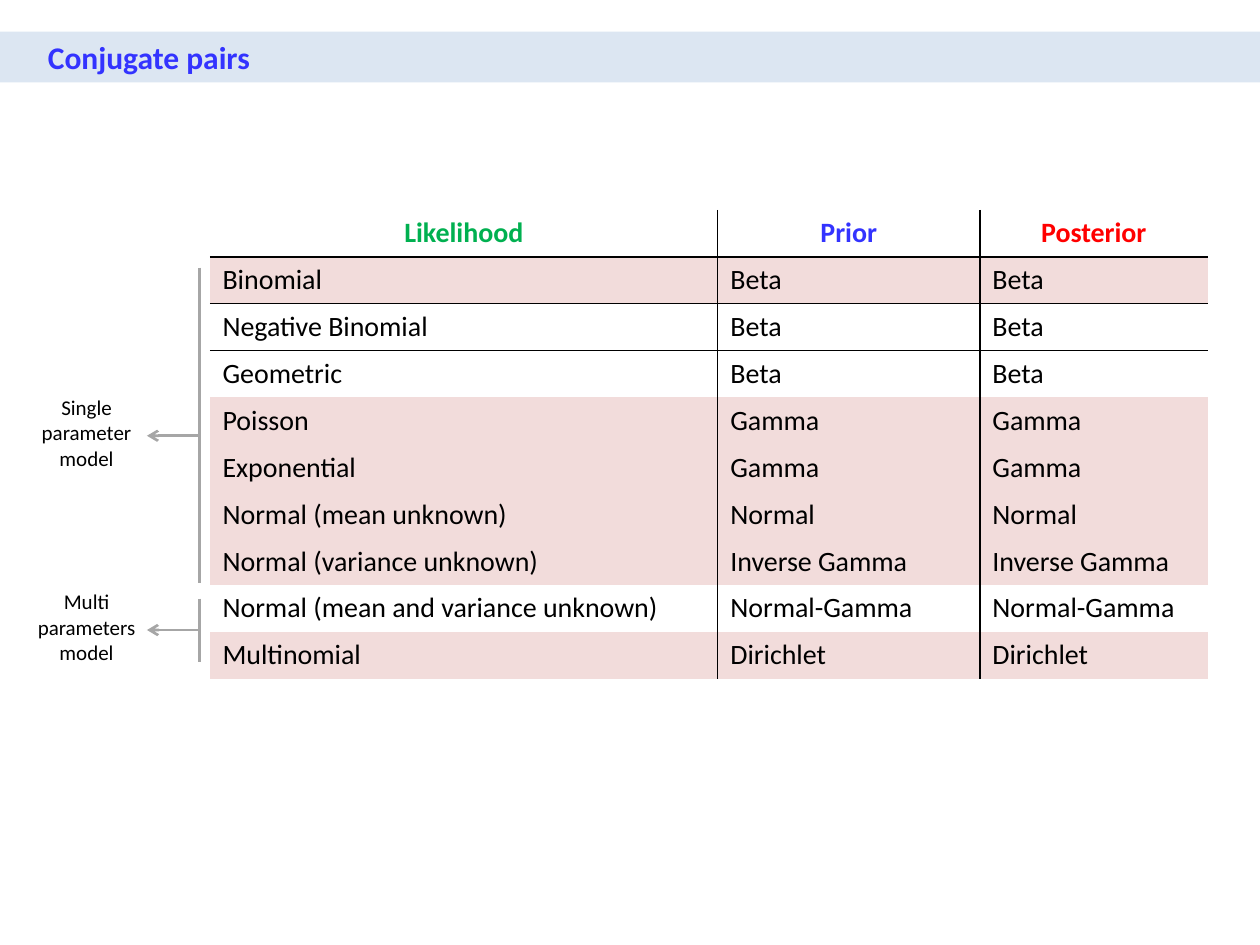
from pptx import Presentation
from pptx.dml.color import RGBColor
from pptx.enum.shapes import MSO_CONNECTOR
from pptx.enum.text import MSO_ANCHOR, PP_ALIGN
from pptx.oxml.ns import qn
from pptx.util import Inches, Pt
from lxml.etree import SubElement

INK, PINK, GREY = "000000", "F2DCDB", "A6A6A6"
PLAIN = "{2D5ABB26-0587-4C30-8999-92F81FD0307C}"
HEADS = [("Likelihood", "00B050"), ("Prior", "3333FF"), ("Posterior", "FF0000")]
PAIRS = [
    ("Binomial", "Beta", PINK),
    ("Negative Binomial", "Beta", None),
    ("Geometric", "Beta", None),
    ("Poisson", "Gamma", PINK),
    ("Exponential", "Gamma", PINK),
    ("Normal (mean unknown)", "Normal", PINK),
    ("Normal (variance unknown)", "Inverse Gamma", PINK),
    ("Normal (mean and variance unknown)", "Normal-Gamma", None),
    ("Multinomial", "Dirichlet", PINK),
]
WIDTHS = [4.03, 2.08, 1.81]
ROW = 0.372


def grid(*spots):
    """Turn counts of grid steps, 24 to the inch, into lengths."""
    return [Inches(spot / 24) for spot in spots]


def tint(code):
    """Turn a hex string into a colour."""
    return RGBColor.from_string(code)


def write(frame, text, size=16, color=INK, bold=False, align=PP_ALIGN.LEFT):
    """Fill a text frame, one paragraph for each line."""
    frame.text = text
    for para in frame.paragraphs:
        para.alignment = align
        font = para.runs[0].font
        font.name, font.size, font.bold = "Calibri", Pt(size), bold
        font.color.rgb = tint(color)


def head(slide, box, text):
    """Place the title on its tinted band."""
    title = slide.shapes.title
    title.left, title.top, title.width, title.height = grid(*box)
    title.fill.solid()
    title.fill.fore_color.rgb = tint("DCE6F2")
    frame = title.text_frame
    write(frame, text, size=18, color="3333FF", bold=True)
    frame.margin_left = Inches(0.38)
    frame.vertical_anchor = MSO_ANCHOR.MIDDLE


def edge(cell, sides):
    """Draw black rules on the named sides of a cell."""
    props = cell._tc.get_or_add_tcPr()
    for side in sides:
        line = SubElement(props, qn("a:ln" + side), w=str(Pt(1)))
        fill = SubElement(line, qn("a:solidFill"))
        SubElement(fill, qn("a:srgbClr"), val=INK)


def rules(row, col):
    """Name the ruled sides of the cell at a row and column."""
    tests = {"L": col > 0, "R": col < 2, "T": row in (1, 2), "B": row in (0, 1)}
    return [side for side, drawn in tests.items() if drawn]


def pairs(slide, box):
    """Place the table of likelihoods, priors and posteriors."""
    table = slide.shapes.add_table(len(PAIRS) + 1, 3, *grid(*box)).table
    table.first_row = table.horz_banding = False
    table._tbl.tblPr.find(qn("a:tableStyleId")).text = PLAIN
    for col, width in zip(table.columns, WIDTHS):
        col.width = Inches(width)
    for row in table.rows:
        row.height = Inches(ROW)
    for col, (text, color) in enumerate(HEADS):
        write(table.cell(0, col).text_frame, text, color=color, bold=True,
              align=PP_ALIGN.CENTER)
    for row, (model, prior, _) in enumerate(PAIRS, 1):
        for col, text in enumerate((model, prior, prior)):
            write(table.cell(row, col).text_frame, text)
    fills = [None] + [pair[2] for pair in PAIRS]
    for row, color in enumerate(fills):
        for col in range(3):
            cell = table.cell(row, col)
            edge(cell, rules(row, col))
            if color:
                cell.fill.solid()
                cell.fill.fore_color.rgb = tint(color)
            else:
                cell.fill.background()


def rule(slide, ends, arrow=False):
    """Draw a grey line, with an arrowhead at its end if asked."""
    line = slide.shapes.add_connector(MSO_CONNECTOR.STRAIGHT, *grid(*ends))
    line.line.color.rgb = tint(GREY)
    line.line.width = Pt(1.5)
    if arrow:
        SubElement(line.line._get_or_add_ln(), qn("a:tailEnd"), type="arrow")
    SubElement(line._element.spPr, qn("a:effectLst"))


def group(slide, box, text, span):
    """Place a label in its box and an arrow from the rows it spans."""
    left, top, wide, high = box
    low, end = span
    side, mid = left + 34, (low + end) / 2 + (0 if end - low < 20 else 2)
    rule(slide, (side, low, side, end))
    rule(slide, (side, mid, left + 24, mid), arrow=True)
    label = slide.shapes.add_textbox(*grid(left, top, wide, high))
    label.text_frame.word_wrap = True
    write(label.text_frame, text, size=12, align=PP_ALIGN.CENTER)


def main():
    """Build the slide and save it."""
    deck = Presentation()
    deck.slide_width, deck.slide_height = Inches(10), Inches(7.5)
    slide = deck.slides.add_slide(deck.slide_layouts[5])
    head(slide, (0, 6, 240, 9.7), "Conjugate pairs")
    pairs(slide, (40, 40, 190, 88))
    group(slide, (4, 74, 25, 17), "Single\nparameter\nmodel", (51, 111))
    group(slide, (4, 111, 25, 17), "Multi\nparameters\nmodel", (114, 126))
    deck.save("out.pptx")


if __name__ == "__main__":
    main()
